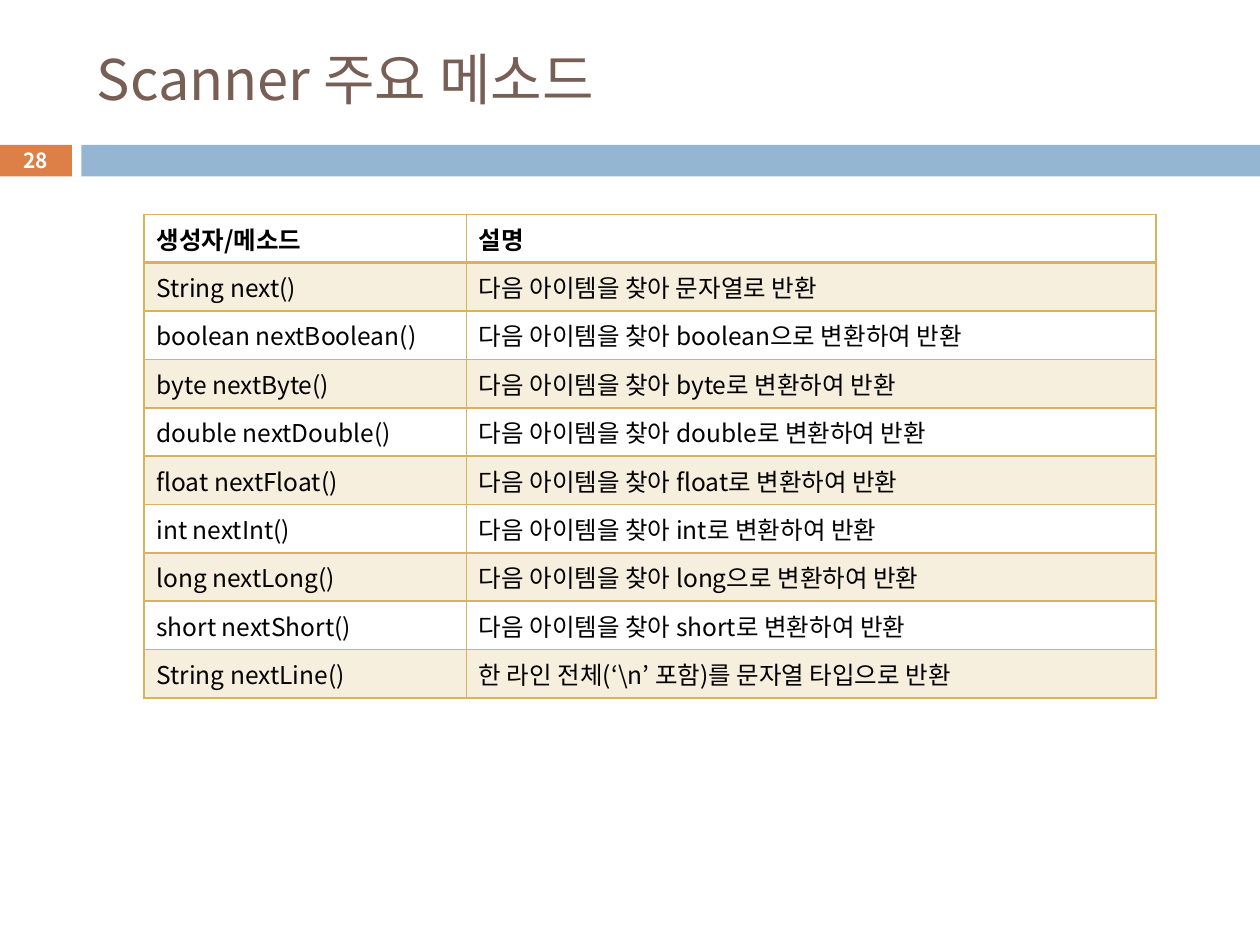
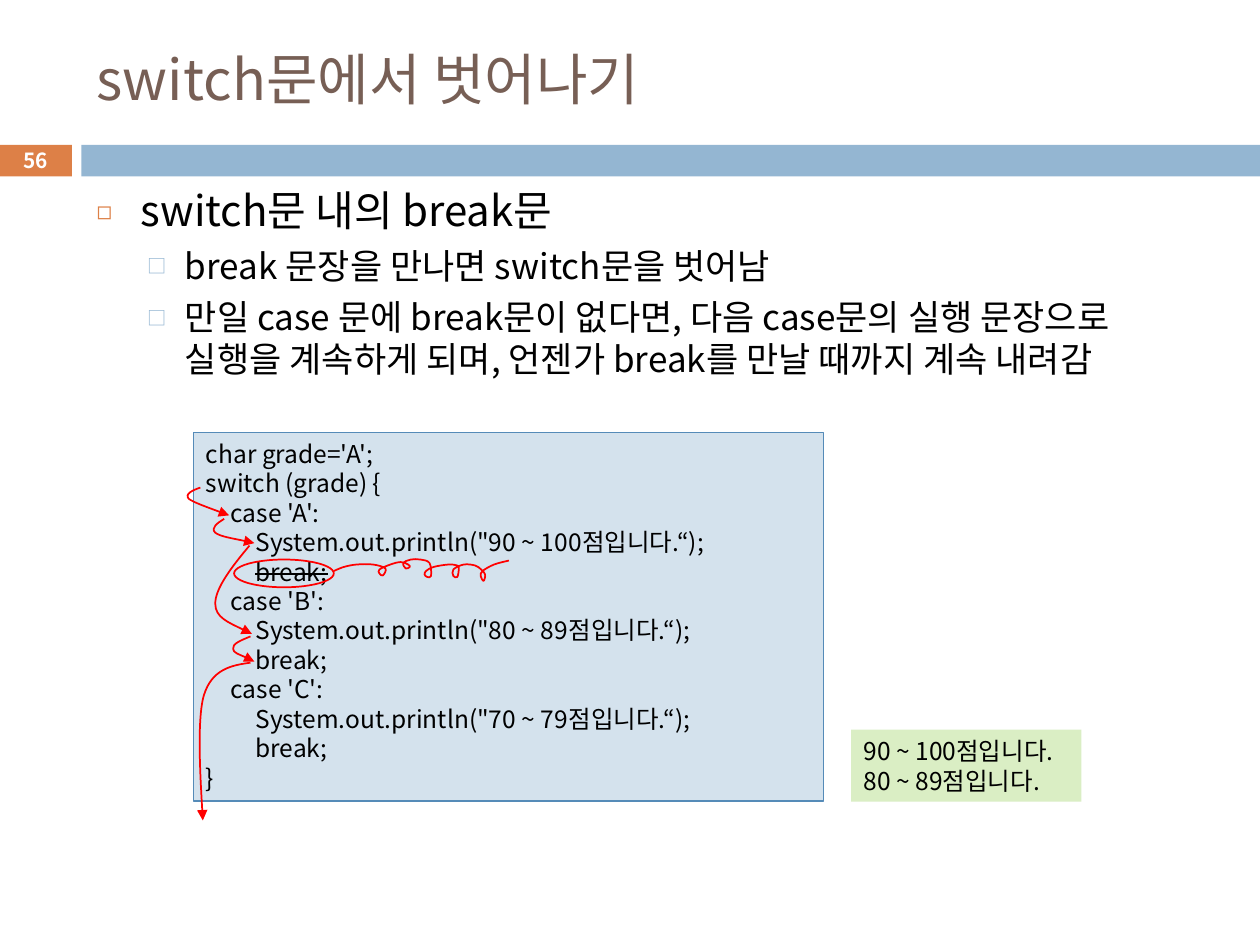
import lxml.etree
import pptx
import pptx.dml.color
import pptx.enum.shapes
import pptx.enum.text
import pptx.oxml.ns
import pptx.util

Cm = pptx.util.Cm
Pt = pptx.util.Pt
SHAPES = pptx.enum.shapes.MSO_SHAPE
ANCHORS = pptx.enum.text.MSO_ANCHOR
ALIGNS = pptx.enum.text.PP_ALIGN
qn = pptx.oxml.ns.qn

FONT = "Noto Sans CJK KR"
COLORS = {
    "title": "775F55", "orange": "DD8047", "blue": "94B6D2", "gold": "D8B25C",
    "code_fill": "D4E2ED", "code_line": "558BB8", "output_fill": "DAEEC4",
    "mark": "FF0000", "text": "000000", "white": "FFFFFF",
}
INSETS = {"margin_left": 0.25, "margin_right": 0.25, "margin_top": 0.13, "margin_bottom": 0.13}
BULLETS = [
    {"sign": "◻", "color": "orange", "percent": 60, "left": 0.89, "hang": 0.89},
    {"sign": "□", "color": "blue", "percent": 55, "left": 1.78, "hang": 0.76},
]

METHODS = [
    ("생성자/메소드", "설명"),
    ("String next()", "다음 아이템을 찾아 문자열로 반환"),
    ("boolean nextBoolean()", "다음 아이템을 찾아 boolean으로 변환하여 반환"),
    ("byte nextByte()", "다음 아이템을 찾아 byte로 변환하여 반환"),
    ("double nextDouble()", "다음 아이템을 찾아 double로 변환하여 반환"),
    ("float nextFloat()", "다음 아이템을 찾아 float로 변환하여 반환"),
    ("int nextInt()", "다음 아이템을 찾아 int로 변환하여 반환"),
    ("long nextLong()", "다음 아이템을 찾아 long으로 변환하여 반환"),
    ("short nextShort()", "다음 아이템을 찾아 short로 변환하여 반환"),
    ("String nextLine()", "한 라인 전체(‘\\n’ 포함)를 문자열 타입으로 반환"),
]
BREAK_NOTES = [
    (0, "switch문 내의 break문"),
    (1, "break 문장을 만나면 switch문을 벗어남"),
    (1, "만일 case 문에 break문이 없다면, 다음 case문의 실행 문장으로 "
        "실행을 계속하게 되며, 언젠가 break를 만날 때까지 계속 내려감"),
]
CODE = """char grade='A';
switch (grade) {
\tcase 'A':
\t\tSystem.out.println("90 ~ 100점입니다.“);
\t\tbreak;
\tcase 'B':
\t\tSystem.out.println("80 ~ 89점입니다.“);
\t\tbreak;
\tcase 'C':
\t\tSystem.out.println("70 ~ 79점입니다.“);
\t\tbreak;
}""".split("\n")
STRUCK_LINE = 4
OUTPUT = ["90 ~ 100점입니다.", "80 ~ 89점입니다."]

# Each flow arrow is a start point followed by two Bézier segments, in cm.
FLOW_ARROWS = [
    [(4.04, 9.83), (3.89, 9.88), (3.71, 9.96), (3.81, 10.06),
     (3.91, 10.13), (4.27, 10.26), (4.62, 10.39)],
    [(4.52, 10.46), (4.39, 10.54), (4.24, 10.64), (4.34, 10.74),
     (4.45, 10.82), (4.8, 10.87), (5.13, 10.95)],
    [(5.03, 11), (4.67, 11.43), (4.34, 11.86), (4.34, 12.17),
     (4.34, 12.45), (4.72, 12.6), (5.08, 12.78)],
    [(5.05, 12.83), (4.88, 12.9), (4.67, 12.98), (4.7, 13.08),
     (4.7, 13.16), (4.93, 13.23), (5.13, 13.34)],
    [(5.05, 13.36), (4.67, 13.41), (4.27, 13.49), (4.11, 14.02),
     (3.96, 14.53), (4.09, 16.54), (4.09, 16.54)],
]
SCRIBBLE = [
    (6.73, 11.51), (6.93, 11.43), (7.19, 11.38), (7.52, 11.38), (7.77, 11.46),
    (7.72, 11.6), (7.65, 11.56), (7.65, 11.48), (7.87, 11.38), (8.08, 11.33),
    (8.23, 11.38), (8.26, 11.43), (8.18, 11.46), (8.13, 11.35), (8.28, 11.28),
    (8.48, 11.28), (8.66, 11.35), (8.69, 11.61), (8.61, 11.63), (8.56, 11.58),
    (8.59, 11.51), (8.74, 11.43), (9.04, 11.38), (9.22, 11.4), (9.25, 11.46),
    (9.22, 11.63), (9.14, 11.61), (9.14, 11.48), (9.35, 11.38), (9.58, 11.4),
    (9.7, 11.48), (9.78, 11.58), (9.75, 11.71), (9.69, 11.61), (9.73, 11.51),
    (9.96, 11.38), (10.26, 11.3),
]


def rgb(name):
    return pptx.dml.color.RGBColor.from_string(COLORS[name])


def add_xml(parent, tag, **attributes):
    return lxml.etree.SubElement(parent, qn(tag), attributes)


def set_values(target, values):
    for name, value in values.items():
        setattr(target, name, value)


def add_span(para, text, size, color="text", bold=False):
    span = para.add_run()
    span.text = text
    set_values(span.font, {"name": FONT, "size": Pt(size), "bold": bold})
    span.font.color.rgb = rgb(color)
    props = span._r.get_or_add_rPr()
    props.set("kern", "0")
    add_xml(props, "a:ea", typeface=FONT)
    return span


def set_frame(frame, insets, anchor=ANCHORS.TOP):
    set_values(frame, {name: Cm(value) for name, value in insets.items()})
    set_values(frame, {"word_wrap": True, "vertical_anchor": anchor})


def add_paragraphs(frame, count):
    """Return count paragraphs, the first being the one the frame already has."""
    return [frame.paragraphs[0]] + [frame.add_paragraph() for _ in range(count - 1)]


def paint(shape, fill=None, line=None, width=1):
    shape.shadow.inherit = False
    if fill:
        shape.fill.solid()
        shape.fill.fore_color.rgb = rgb(fill)
    else:
        shape.fill.background()
    if line:
        shape.line.color.rgb = rgb(line)
        shape.line.width = Pt(width)
    else:
        shape.line.fill.background()
    return shape


def add_shape(page, kind, place, **style):
    return paint(page.shapes.add_shape(kind, *map(Cm, place)), **style)


def add_page(deck, title, number):
    page = deck.slides.add_slide(deck.slide_layouts[6])
    badge = add_shape(page, SHAPES.RECTANGLE, (0, 2.92, 1.45, 0.64), fill="orange")
    add_shape(page, SHAPES.RECTANGLE, (1.64, 2.92, 23.76, 0.64), fill="blue")
    set_frame(badge.text_frame, {**dict.fromkeys(INSETS, 0), "margin_bottom": 0.03},
              ANCHORS.MIDDLE)
    para = badge.text_frame.paragraphs[0]
    para.alignment = ALIGNS.CENTER
    add_span(para, str(number), 11.9, "white", bold=True)
    box = page.shapes.add_textbox(Cm(1.7), Cm(0.63), Cm(22.66), Cm(1.88))
    set_frame(box.text_frame, INSETS, ANCHORS.MIDDLE)
    add_span(box.text_frame.paragraphs[0], title, 32, "title")
    return page


def add_border(cell, side, width):
    line = add_xml(cell._tc.get_or_add_tcPr(), "a:ln" + side, w=str(Pt(width)))
    add_xml(add_xml(line, "a:solidFill"), "a:srgbClr", val=COLORS["gold"])


def fill_cell(cell, text, row):
    edges = {"L": 1, "R": 1, "T": 2 if row == 1 else 1, "B": 2 if row == 0 else 1}
    for side, width in edges.items():
        add_border(cell, side, width)
    if row % 2:
        cell.fill.solid()
        cell.fill.fore_color.rgb = rgb("gold")
        tint = cell._tc.tcPr.find(qn("a:solidFill"))[0]
        add_xml(tint, "a:alpha", val="20000")
    else:
        cell.fill.background()
    add_span(cell.text_frame.paragraphs[0], text, 14, bold=row == 0)


def add_method_table(page):
    height = Cm(9.75)
    frame = page.shapes.add_table(len(METHODS), 2, Cm(2.9), Cm(4.32), Cm(20.4), height)
    table = frame.table
    set_values(table, {"first_row": False, "horz_banding": False})
    for column, width in zip(table.columns, (6.5, 13.9)):
        column.width = Cm(width)
    for row, texts in enumerate(METHODS):
        table.rows[row].height = height // len(METHODS)
        for column, text in enumerate(texts):
            fill_cell(table.cell(row, column), text, row)


def add_bullet(para, level):
    bullet = BULLETS[level]
    props = para._p.get_or_add_pPr()
    props.set("marL", str(Cm(bullet["left"])))
    props.set("indent", str(-Cm(bullet["hang"])))
    add_xml(add_xml(props, "a:buClr"), "a:srgbClr", val=COLORS[bullet["color"]])
    add_xml(props, "a:buSzPct", val=str(bullet["percent"] * 1000))
    add_xml(props, "a:buFont", typeface=FONT)
    add_xml(props, "a:buChar", char=bullet["sign"])


def add_notes_body(page):
    box = page.shapes.add_textbox(Cm(1.7), Cm(3.58), Cm(22.66), Cm(5.56))
    set_frame(box.text_frame, INSETS)
    paras = add_paragraphs(box.text_frame, len(BREAK_NOTES))
    for para, (level, text) in zip(paras, BREAK_NOTES):
        add_bullet(para, level)
        set_values(para, {"level": level, "space_before": Pt(5.5 if level else 0)})
        add_span(para, text, 20 if level else 24)


def add_listing(page, place, lines, struck=None, **style):
    """Draw a filled box of 14 pt lines; the line at index struck is crossed out."""
    box = add_shape(page, SHAPES.RECTANGLE, place, **style)
    set_frame(box.text_frame, INSETS)
    for index, para in enumerate(add_paragraphs(box.text_frame, len(lines))):
        text = lines[index].lstrip("\t")
        depth = len(lines[index]) - len(text)
        if depth:
            stops = add_xml(para._p.get_or_add_pPr(), "a:tabLst")
            for stop in range(1, depth + 1):
                add_xml(stops, "a:tab", pos=str(Cm(0.5 * stop)), algn="l")
            add_span(para, "\t" * depth, 14)
        para.alignment = ALIGNS.LEFT
        span = add_span(para, text, 14)
        if index == struck:
            span._r.get_or_add_rPr().set("strike", "sngStrike")


def smooth(points):
    """Turn points into Bézier control points of a curve that runs through them."""
    padded = [points[0], *points, points[-1]]
    controls = [points[0]]
    for before, start, end, after in zip(padded, padded[1:], padded[2:], padded[3:]):
        controls.append(tuple(s + (e - b) / 6 for b, s, e in zip(before, start, end)))
        controls.append(tuple(e - (a - s) / 6 for s, e, a in zip(start, end, after)))
        controls.append(end)
    return controls


def add_curve(page, controls, arrow=False):
    """Draw a freeform whose points, three by three, become Bézier segments."""
    start, *rest = [(x * 1000, y * 1000) for x, y in controls]
    builder = page.shapes.build_freeform(*start, scale=Cm(1) / 1000)
    builder.add_line_segments(rest, close=False)
    curve = paint(builder.convert_to_shape(), line="mark")
    outline = next(curve._element.iter(qn("a:path")))
    lines = outline.findall(qn("a:lnTo"))
    for first in range(0, len(lines), 3):
        bend = add_xml(outline, "a:cubicBezTo")
        for line in lines[first:first + 3]:
            bend.append(line[0])
            outline.remove(line)
    if arrow:
        add_xml(curve.line._get_or_add_ln(), "a:tailEnd", type="triangle")


def main():
    deck = pptx.Presentation()
    set_values(deck, {"slide_width": Cm(25.4), "slide_height": Cm(19.05)})

    add_method_table(add_page(deck, "Scanner 주요 메소드", 28))

    page = add_page(deck, "switch문에서 벗어나기", 56)
    add_notes_body(page)
    add_listing(page, (3.9, 8.72, 12.7, 7.43), CODE, STRUCK_LINE,
                fill="code_fill", line="code_line", width=0.75)
    add_listing(page, (17.16, 14.71, 4.64, 1.45), OUTPUT, fill="output_fill")
    add_shape(page, SHAPES.OVAL, (4.72, 11.28, 2.01, 0.56), line="mark")
    add_curve(page, smooth(SCRIBBLE))
    for controls in FLOW_ARROWS:
        add_curve(page, controls, arrow=True)

    deck.save("out.pptx")


if __name__ == "__main__":
    main()
